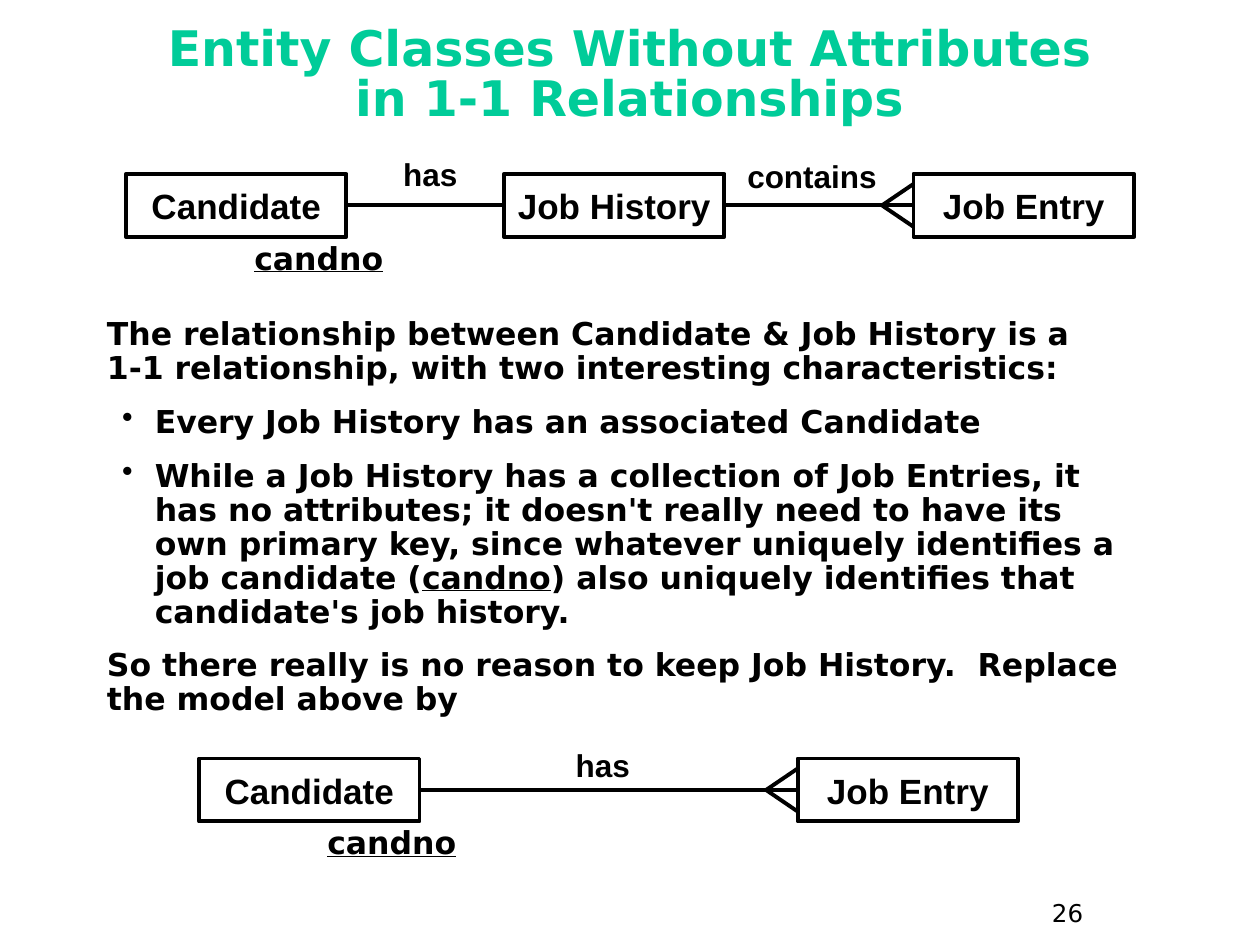
"""Build the slide on entity classes without attributes in 1-1 relationships."""
from lxml.etree import SubElement
from pptx import Presentation
from pptx.dml.color import RGBColor
from pptx.enum.shapes import MSO_CONNECTOR as Connector, MSO_SHAPE as Shape
from pptx.enum.text import MSO_ANCHOR as Anchor, MSO_AUTO_SIZE as AutoSize, PP_ALIGN as Align
from pptx.oxml.ns import qn
from pptx.util import Inches, Pt

THEME = {
    "title": RGBColor(0x00, 0xCC, 0x99), "ink": RGBColor(0, 0, 0),
    "heading_font": "DejaVu Sans", "diagram_font": "Arial",
    "title_size": 28, "entity_size": 20, "body_size": 18, "number_size": 14,
    "line": 2.25,
}
TITLE = "Entity Classes Without Attributes\nin 1-1 Relationships"
BODY = [
    (0, ["The relationship between Candidate & Job History is a\n"
         "1-1 relationship, with two interesting characteristics:"]),
    (1, ["Every Job History has an associated Candidate"]),
    (1, ["While a Job History has a collection of Job Entries, it has no attributes; "
         "it doesn't really need to have its own primary key, since whatever uniquely "
         "identifies a job candidate (", ("candno", True),
         ") also uniquely identifies that candidate's job history."]),
    (0, ["So there really is no reason to keep Job History.  Replace the model above by"]),
]
KEY = [(0, [("candno", True)])]
DIAGRAMS = [
    {"top": 1.38,
     "entities": [("Candidate", 1), ("Job History", 4), ("Job Entry", 7.25)],
     "relations": [("has", 2.58, 1.23), ("contains", 5.61, 1.24)]},
    {"top": 6.02,
     "entities": [("Candidate", 1.58), ("Job Entry", 6.33)],
     "relations": [("has", 3.95, 5.92)]},
]
SLIDE_NUMBER = "26"
ENTITY_WIDTH, ENTITY_HEIGHT = 1.75, 0.5
FOOT_LENGTH, FOOT_SPREAD = 0.25, 0.17
KEY_OFFSET = 0.92


def add_bullet(paragraph):
    """Give a paragraph a hanging bullet."""
    properties = paragraph._p.get_or_add_pPr()
    properties.set("marL", str(Inches(0.38)))
    properties.set("indent", str(Inches(-0.26)))
    color = SubElement(properties, qn("a:buClr"))
    SubElement(color, qn("a:srgbClr")).set("val", str(THEME["ink"]))
    SubElement(properties, qn("a:buChar")).set("char", "•")


def put_text(shape, content, *, size="body_size", font="heading_font", color="ink",
             bold=True, align=Align.LEFT, spacing=None, anchor=Anchor.TOP,
             wrap=True, fit=AutoSize.NONE):
    """Fill a shape with a string or a list of levelled paragraphs."""
    paragraphs = [(0, [content])] if isinstance(content, str) else content
    frame = shape.text_frame
    frame.word_wrap, frame.auto_size, frame.vertical_anchor = wrap, fit, anchor
    for index, (level, pieces) in enumerate(paragraphs):
        paragraph = frame.add_paragraph() if index else frame.paragraphs[0]
        paragraph.level, paragraph.alignment = level, align
        paragraph.line_spacing = spacing
        paragraph.space_before = Pt(11.2 if index else 0)
        if level:
            add_bullet(paragraph)
        for piece in pieces:
            text, underline = (piece, False) if isinstance(piece, str) else piece
            for number, line in enumerate(text.split("\n")):
                if number:
                    paragraph.add_line_break()
                run = paragraph.add_run()
                run.text = line
                run.font.name, run.font.size = THEME[font], Pt(THEME[size])
                run.font.bold, run.font.underline = bold, underline
                run.font.color.rgb = THEME[color]


def add_label(slide, content, left, top, width, height, **style):
    """Add a text box that grows with its text."""
    box = slide.shapes.add_textbox(*map(Inches, (left, top, width, height)))
    put_text(box, content, fit=AutoSize.SHAPE_TO_FIT_TEXT, **style)


def add_entity(slide, name, left, top):
    """Add an outlined entity rectangle."""
    shape = slide.shapes.add_shape(
        Shape.RECTANGLE, *map(Inches, (left, top, ENTITY_WIDTH, ENTITY_HEIGHT)))
    shape.shadow.inherit = False
    shape.fill.background()
    shape.line.color.rgb, shape.line.width = THEME["ink"], Pt(THEME["line"])
    put_text(shape, name, size="entity_size", font="diagram_font",
             align=Align.CENTER, anchor=Anchor.MIDDLE, wrap=False)
    return shape


def add_line(slide, start=(0, 0), end=(0, 0)):
    """Add a straight connector without a shadow."""
    line = slide.shapes.add_connector(Connector.STRAIGHT, *map(Inches, (*start, *end)))
    line.line.color.rgb, line.line.width = THEME["ink"], Pt(THEME["line"])
    SubElement(line._element.spPr, qn("a:effectLst"))
    return line


def add_diagram(slide, top, entities, relations):
    """Add a row of entities joined by relations, ending in a crow's foot."""
    shapes = [add_entity(slide, name, left, top) for name, left in entities]
    for first, second in zip(shapes, shapes[1:]):
        line = add_line(slide)
        line.begin_connect(first, 3)
        line.end_connect(second, 1)
    last_left, middle = entities[-1][1], top + ENTITY_HEIGHT / 2
    for spread in (-FOOT_SPREAD, FOOT_SPREAD):
        add_line(slide, (last_left - FOOT_LENGTH, middle), (last_left, middle + spread))
    for name, left, label_top in relations:
        add_label(slide, name, left, label_top, 1.67, 0.36, font="diagram_font",
                  align=Align.CENTER, spacing=0.85)
    add_label(slide, KEY, entities[0][1] + KEY_OFFSET, top + ENTITY_HEIGHT,
              1.33, 0.37, spacing=0.9)


def main():
    """Assemble and save the slide."""
    presentation = Presentation()
    presentation.slide_width, presentation.slide_height = Inches(10), Inches(7.5)
    slide = presentation.slides.add_slide(presentation.slide_layouts[5])
    title = slide.shapes.title
    title.left, title.top, title.width, title.height = map(Inches, (0.33, 0.19, 9.33, 0.83))
    put_text(title, TITLE, size="title_size", color="title", align=Align.CENTER,
             spacing=0.85, anchor=Anchor.MIDDLE)
    for diagram in DIAGRAMS:
        add_diagram(slide, **diagram)
    add_label(slide, BODY, 0.75, 2.48, 8.25, 3, spacing=0.9)
    add_label(slide, SLIDE_NUMBER, 8.25, 7.08, 0.75, 0.37, size="number_size", bold=False)
    presentation.save("out.pptx")


if __name__ == "__main__":
    main()
